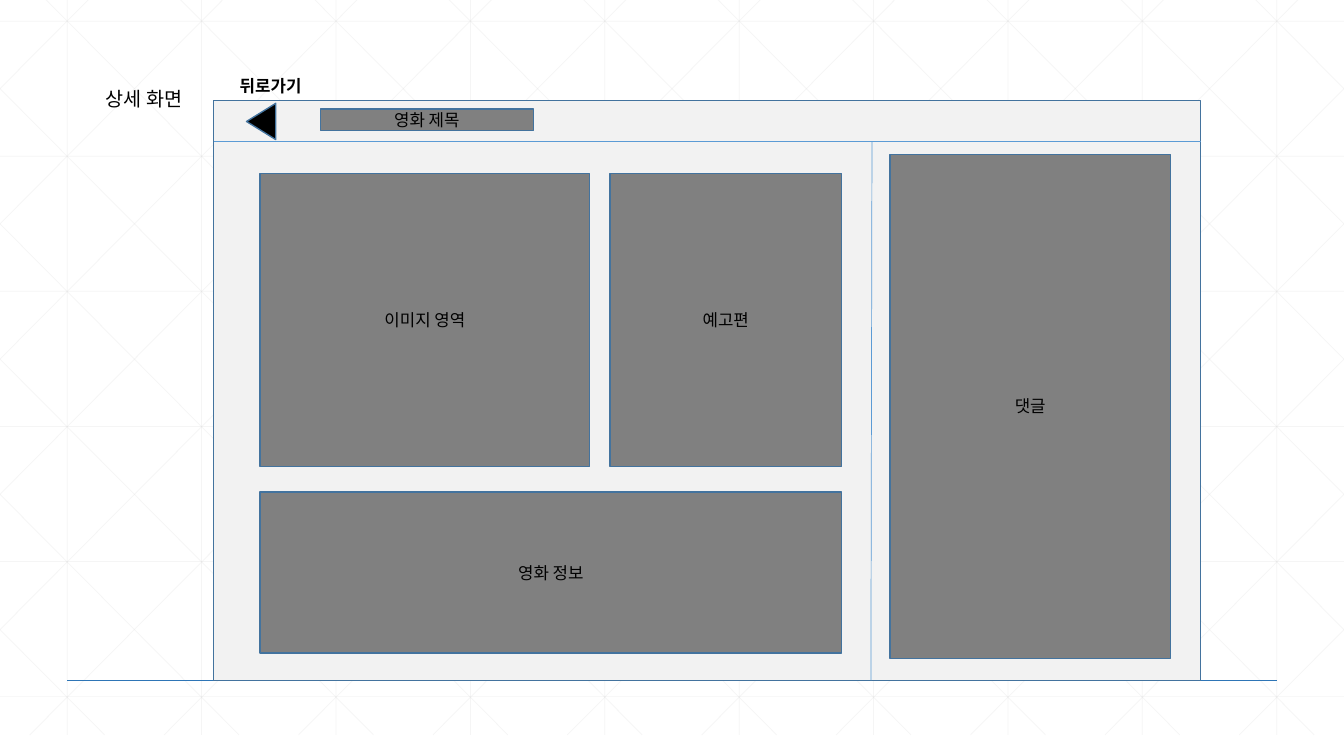
from lxml import etree
from pptx import Presentation
from pptx.dml.color import RGBColor
from pptx.enum.shapes import MSO_CONNECTOR as Connector, MSO_SHAPE as Shape
from pptx.enum.text import MSO_ANCHOR as Anchor, PP_ALIGN as Align
from pptx.oxml.ns import qn
from pptx.util import Inches, Pt

rgb = RGBColor.from_string

deck = Presentation()
deck.slide_width, deck.slide_height = Inches(13.333), Inches(7.5)
slide = deck.slides.add_slide(deck.slide_layouts[6])

# All lengths are percentages of the slide's width (x) and height (y)
X, Y = deck.slide_width / 100, deck.slide_height / 100


def draw_line(x1, y1, x2, y2, color, width, alpha=None):
    line = slide.shapes.add_connector(
        Connector.STRAIGHT, int(x1 * X), int(y1 * Y), int(x2 * X), int(y2 * Y))
    line.line.color.rgb = rgb(color)
    line.line.width = Pt(width)
    properties = line._element.spPr
    if alpha:
        tint = properties.find(".//" + qn("a:srgbClr"))
        etree.SubElement(tint, qn("a:alpha")).set("val", str(alpha * 1000))
    etree.SubElement(properties, qn("a:effectLst"))


def write(frame, text, size, bold, align):
    paragraph = frame.paragraphs[0]
    paragraph.alignment = align
    run = paragraph.add_run()
    run.text = text
    run.font.name = "Calibri"
    run.font.size = Pt(size)
    run.font.bold = bold
    run.font.color.rgb = rgb("000000")


# Background pattern: columns, rows and two mirrored sets of diagonals
TOP, BOTTOM = -2.8, 97.2
FAINT = ("D9D9D9", 0.5, 25)
for column in range(10):
    draw_line(5 + 10 * column, TOP, 5 + 10 * column, BOTTOM, *FAINT)
for row in range(6):
    y = 2.8 + 17.87 * row
    draw_line(0, y, 100, y, *FAINT)

SLOPE = (BOTTOM - TOP) / 55.9
for step in range(-5, 10):
    start = 1.88 + 10 * step
    left, right = max(start, 0), min(start + 55.9, 100)
    y1, y2 = (TOP + SLOPE * (x - start) for x in (left, right))
    draw_line(left, y1, right, y2, *FAINT)
    draw_line(100 - left, y1, 100 - right, y2, *FAINT)

# Base line
FLOOR = 90
draw_line(5, FLOOR, 95, FLOOR, "2E75B6", 1)

# Screen frame, back arrow and content areas
SCREEN_LEFT, SCREEN_TOP, SCREEN_WIDTH = 15.9, 13.33, 73.43
AREA_LEFT, AREA_RIGHT, AREA_TOP, AREA_HEIGHT = 19.35, 62.63, 22.93, 38.8
TRAILER_LEFT = 45.38
areas = [
    (Shape.RECTANGLE, SCREEN_LEFT, SCREEN_TOP, SCREEN_WIDTH, FLOOR - SCREEN_TOP, "F2F2F2", ""),
    (Shape.RECTANGLE, 23.85, 14.4, 15.83, 2.9, "808080", "영화 제목"),
    (Shape.ISOSCELES_TRIANGLE, 18.08, 14.13, 2.7, 3.87, "000000", ""),
    (Shape.RECTANGLE, 66.23, 20.4, 20.85, 66.67, "808080", "댓글"),
    (Shape.RECTANGLE, AREA_LEFT, AREA_TOP, 24.53, AREA_HEIGHT, "808080", "이미지 영역"),
    (Shape.RECTANGLE, AREA_LEFT, 65.07, AREA_RIGHT - AREA_LEFT, 21.33, "808080", "영화 정보"),
    (Shape.RECTANGLE, TRAILER_LEFT, AREA_TOP, AREA_RIGHT - TRAILER_LEFT, AREA_HEIGHT,
     "808080", "예고편"),
]
for kind, x, y, width, height, fill, caption in areas:
    area = slide.shapes.add_shape(kind, int(x * X), int(y * Y), int(width * X), int(height * Y))
    area.shadow.inherit = False
    area.fill.solid()
    area.fill.fore_color.rgb = rgb(fill)
    area.line.color.rgb = rgb("43739E")
    area.line.width = Pt(1)
    if kind == Shape.ISOSCELES_TRIANGLE:
        area.rotation = 270
    if caption:
        area.text_frame.vertical_anchor = Anchor.MIDDLE
        write(area.text_frame, caption, 12, False, Align.CENTER)

# Header rule and comment divider
HEADER = 18.67
draw_line(SCREEN_LEFT, HEADER, SCREEN_LEFT + SCREEN_WIDTH, HEADER, "5B9BD5", 0.5)
draw_line(64.88, HEADER, 64.8, FLOOR, "5B9BD5", 0.5)

# Labels outside the screen
labels = [
    (7.13, 10.8, 12.23, 4.53, "상세 화면", 14, False),
    (17.1, 9.33, 7.58, 4, "뒤로가기", 12, True),
]
for x, y, width, height, caption, size, bold in labels:
    label = slide.shapes.add_textbox(int(x * X), int(y * Y), int(width * X), int(height * Y))
    label.text_frame.word_wrap = True
    write(label.text_frame, caption, size, bold, Align.LEFT)

deck.save("out.pptx")
